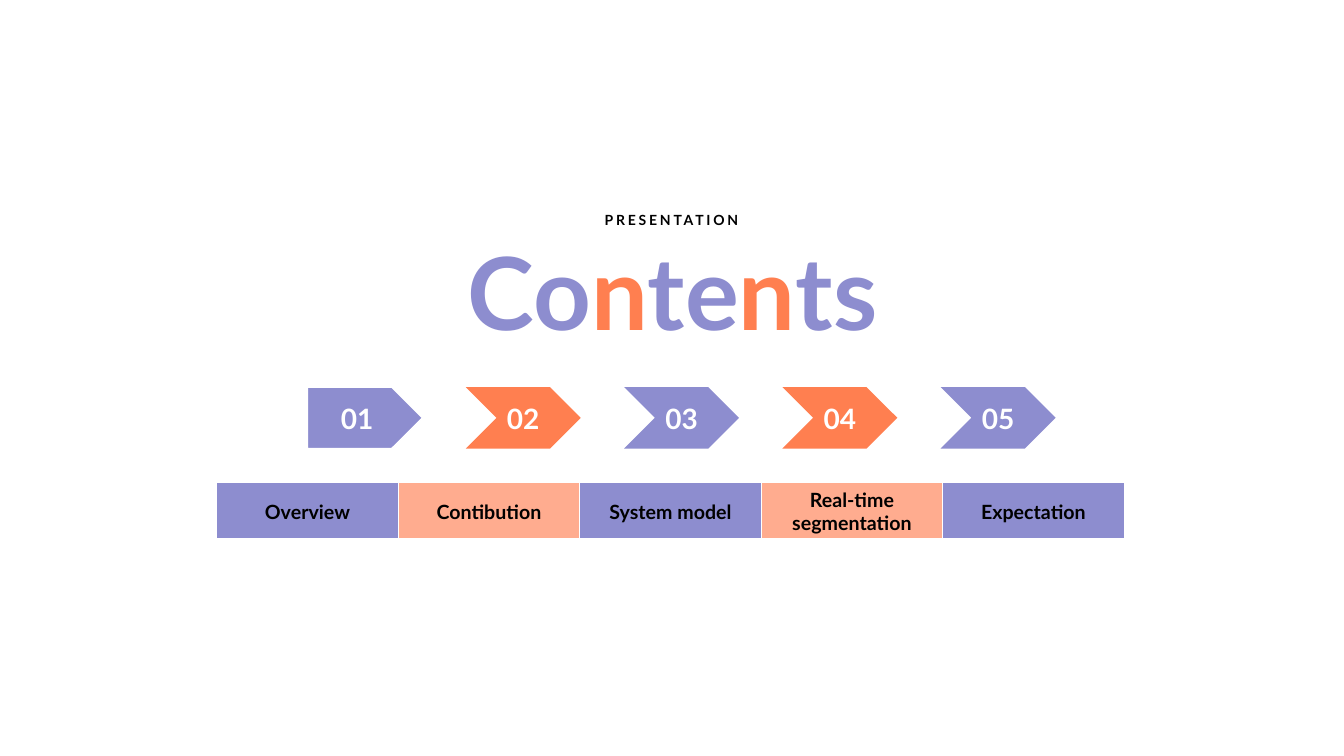
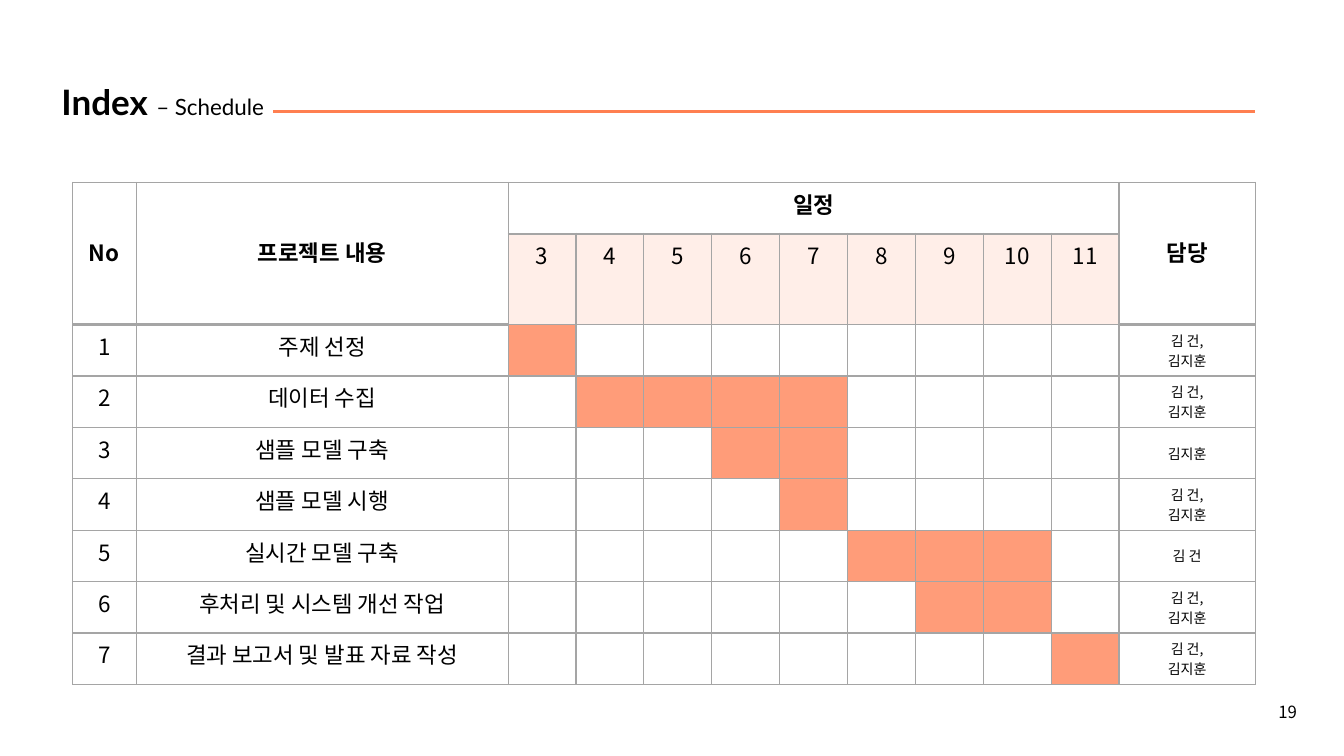
from lxml import etree
from pptx import Presentation
from pptx.dml.color import RGBColor
from pptx.enum.shapes import MSO_CONNECTOR, MSO_SHAPE
from pptx.enum.text import MSO_ANCHOR, MSO_AUTO_SIZE, PP_ALIGN
from pptx.oxml.ns import qn
from pptx.util import Inches, Pt

LEFT, CENTER = PP_ALIGN.LEFT, PP_ALIGN.CENTER
TOP, MIDDLE = MSO_ANCHOR.TOP, MSO_ANCHOR.MIDDLE
HOME_PLATE, CHEVRON = MSO_SHAPE.PENTAGON, MSO_SHAPE.CHEVRON

LATIN, KOREAN = "Lato", "Noto Sans CJK KR"
BLACK, WHITE, GREY = "000000", "FFFFFF", "A5A5A5"
VIOLET, CORAL, PEACH, BAR = "8D8DCF", "FF7F50", "FFAC8F", "FF9C79"

CONTENTS = [("Co", VIOLET), ("n", CORAL), ("te", VIOLET), ("n", CORAL), ("ts", VIOLET)]
CHAPTERS = ["Overview", "Contibution", "System model", "Real-time segmentation", "Expectation"]

MONTHS = list(range(3, 12))
BOTH = ["김 건,", "김지훈"]
# task, first month, last month, people in charge
TASKS = [
    ("주제 선정", 3, 3, BOTH),
    ("데이터 수집", 4, 7, BOTH),
    ("샘플 모델 구축", 6, 7, ["김지훈"]),
    ("샘플 모델 시행", 7, 7, BOTH),
    ("실시간 모델 구축", 8, 10, ["김 건"]),
    ("후처리 및 시스템 개선 작업", 9, 10, BOTH),
    ("결과 보고서 및 발표 자료 작성", 11, 11, BOTH),
]
PAGE = "19"


def rgb(hex_code):
    return RGBColor.from_string(hex_code)


def style(paragraph, size, face=LATIN, color=BLACK, bold=False, align=CENTER, spacing=None):
    paragraph.alignment = align
    if spacing:
        paragraph.line_spacing = spacing
    font = paragraph.font
    font.size, font.bold, font.name = Pt(size), bold, face
    etree.SubElement(font._rPr, qn("a:ea"), typeface=face)
    font.color.rgb = rgb(color)


def write(frame, lines, size, **look):
    for i, line in enumerate(lines):
        paragraph = frame.paragraphs[0] if i == 0 else frame.add_paragraph()
        paragraph.text = line
        style(paragraph, size, **look)


def prepare(frame, inset=True):
    frame.word_wrap = True
    frame.auto_size = MSO_AUTO_SIZE.NONE
    frame.vertical_anchor = TOP
    if not inset:
        frame.margin_left = frame.margin_top = frame.margin_right = frame.margin_bottom = 0
    return frame


def place_title(slide, box, inset=True):
    title = slide.shapes.title
    title.left, title.top, title.width, title.height = map(Inches, box)
    return prepare(title.text_frame, inset)


def add_label(slide, box, text, size, inset=True, **look):
    frame = prepare(slide.shapes.add_textbox(*map(Inches, box)).text_frame, inset)
    write(frame, [text], size, **look)
    return frame


def add_grid(slide, left, top, widths, heights):
    box = map(Inches, (left, top, sum(widths), sum(heights)))
    table = slide.shapes.add_table(len(heights), len(widths), *box).table
    table.first_row = table.horz_banding = False
    for column, width in zip(table.columns, widths):
        column.width = Inches(width)
    for row, height in zip(table.rows, heights):
        row.height = Inches(height)
    return table


def paint(cell, fill, border, bottom=1, alpha=None):
    """Give a cell its borders (1 pt, bottom as given) and its fill."""
    props = cell._tc.get_or_add_tcPr()
    for side, points in (("L", 1), ("R", 1), ("T", 1), ("B", bottom)):
        line = etree.SubElement(props, qn("a:ln" + side), w=str(Pt(points)))
        etree.SubElement(etree.SubElement(line, qn("a:solidFill")), qn("a:srgbClr"), val=border)
    cell.fill.solid()
    cell.fill.fore_color.rgb = rgb(fill)
    if alpha:
        color = props.find(qn("a:solidFill")).find(qn("a:srgbClr"))
        etree.SubElement(color, qn("a:alpha"), val=str(alpha * 1000))


def build_contents(slide):
    heading = place_title(slide, (4.04, 2.51, 5.26, 0.97), inset=False).paragraphs[0]
    style(heading, 72, bold=True, spacing=0.8)
    for letters, color in CONTENTS:
        run = heading.add_run()
        run.text = letters
        run.font.color.rgb = rgb(color)

    kicker = add_label(slide, (5.41, 2.13, 2.5, 0.23), "PRESENTATION", 10,
                       inset=False, bold=True, spacing=0.8)
    kicker.paragraphs[0].runs[0]._r.get_or_add_rPr().set("spc", "200")

    chapters = add_grid(slide, 2.15, 4.79, [1.8] * len(CHAPTERS), [0.55])
    for i, chapter in enumerate(CHAPTERS):
        outline = CHEVRON if i else HOME_PLATE
        arrow = slide.shapes.add_shape(
            outline, *map(Inches, (3.05 + 1.57 * i, 3.84, 1.14, 0.61)))
        arrow.shadow.inherit = False
        arrow.fill.solid()
        arrow.fill.fore_color.rgb = rgb(CORAL if i % 2 else VIOLET)
        if i:
            arrow.line.fill.background()
        else:
            arrow.line.color.rgb = rgb(WHITE)
            arrow.line.width = Pt(1)
        arrow.text_frame.vertical_anchor = MIDDLE
        write(arrow.text_frame, [f"{i + 1:02}"], 20, color=WHITE, bold=True)

        cell = chapters.cell(0, i)
        paint(cell, PEACH if i % 2 else VIOLET, WHITE, bottom=3)
        cell.vertical_anchor = MIDDLE
        write(cell.text_frame, [chapter], 14, bold=True)


def build_schedule(slide):
    heading = place_title(slide, (0.51, 0.75, 7.3, 0.52)).paragraphs[0]
    style(heading, 25, bold=True, align=LEFT)
    heading.add_run().text = "Index "
    subtitle = heading.add_run()
    subtitle.text = "– Schedule"
    subtitle.font.size, subtitle.font.bold = Pt(16), False

    rule = slide.shapes.add_connector(
        MSO_CONNECTOR.STRAIGHT, *map(Inches, (2.71, 1.11, 12.45, 1.11)))
    rule.line.color.rgb = rgb(CORAL)
    rule.line.width = Pt(2.25)
    etree.SubElement(rule._element.spPr, qn("a:effectLst"))

    number_w, task_w, people_w = 0.63, 3.69, 1.35
    month_w = (11.73 - number_w - task_w - people_w) / len(MONTHS)
    widths = [number_w, task_w] + [month_w] * len(MONTHS) + [people_w]
    plan = add_grid(slide, 0.72, 1.81, widths, [0.51, 0.76] + [0.51] * len(TASKS))
    last = len(widths) - 1

    for column in range(last + 1):
        paint(plan.cell(0, column), WHITE, GREY, bottom=2)
    for column, text in ((0, "No"), (1, "프로젝트 내용"), (last, "담당")):
        paint(plan.cell(1, column), WHITE, GREY)
        plan.cell(0, column).merge(plan.cell(1, column))
        write(plan.cell(0, column).text_frame, [text], 16, face=KOREAN, bold=True, spacing=2.5)
    plan.cell(0, 2).merge(plan.cell(0, last - 1))
    write(plan.cell(0, 2).text_frame, ["일정"], 16, face=KOREAN, bold=True)
    for column, month in enumerate(MONTHS, 2):
        paint(plan.cell(1, column), PEACH, GREY, alpha=20)
        write(plan.cell(1, column).text_frame, [str(month)], 16, face=KOREAN)

    for number, (task, start, end, people) in enumerate(TASKS, 1):
        row = number + 1
        for column in (0, 1, last):
            paint(plan.cell(row, column), WHITE, GREY)
        for column, month in enumerate(MONTHS, 2):
            paint(plan.cell(row, column), BAR if start <= month <= end else WHITE, GREY)
        write(plan.cell(row, 0).text_frame, [str(number)], 16, face=KOREAN)
        write(plan.cell(row, 1).text_frame, [task], 16, face=KOREAN)
        plan.cell(row, last).vertical_anchor = MIDDLE
        write(plan.cell(row, last).text_frame, people, 10, face=KOREAN)

    add_label(slide, (12.58, 6.91, 0.45, 0.3), PAGE, 12, face=KOREAN, align=LEFT)


def main():
    deck = Presentation()
    deck.slide_width, deck.slide_height = Inches(13.33), Inches(7.5)
    title_only = deck.slide_layouts[5]
    for build in (build_contents, build_schedule):
        build(deck.slides.add_slide(title_only))
    deck.save("out.pptx")


if __name__ == "__main__":
    main()
